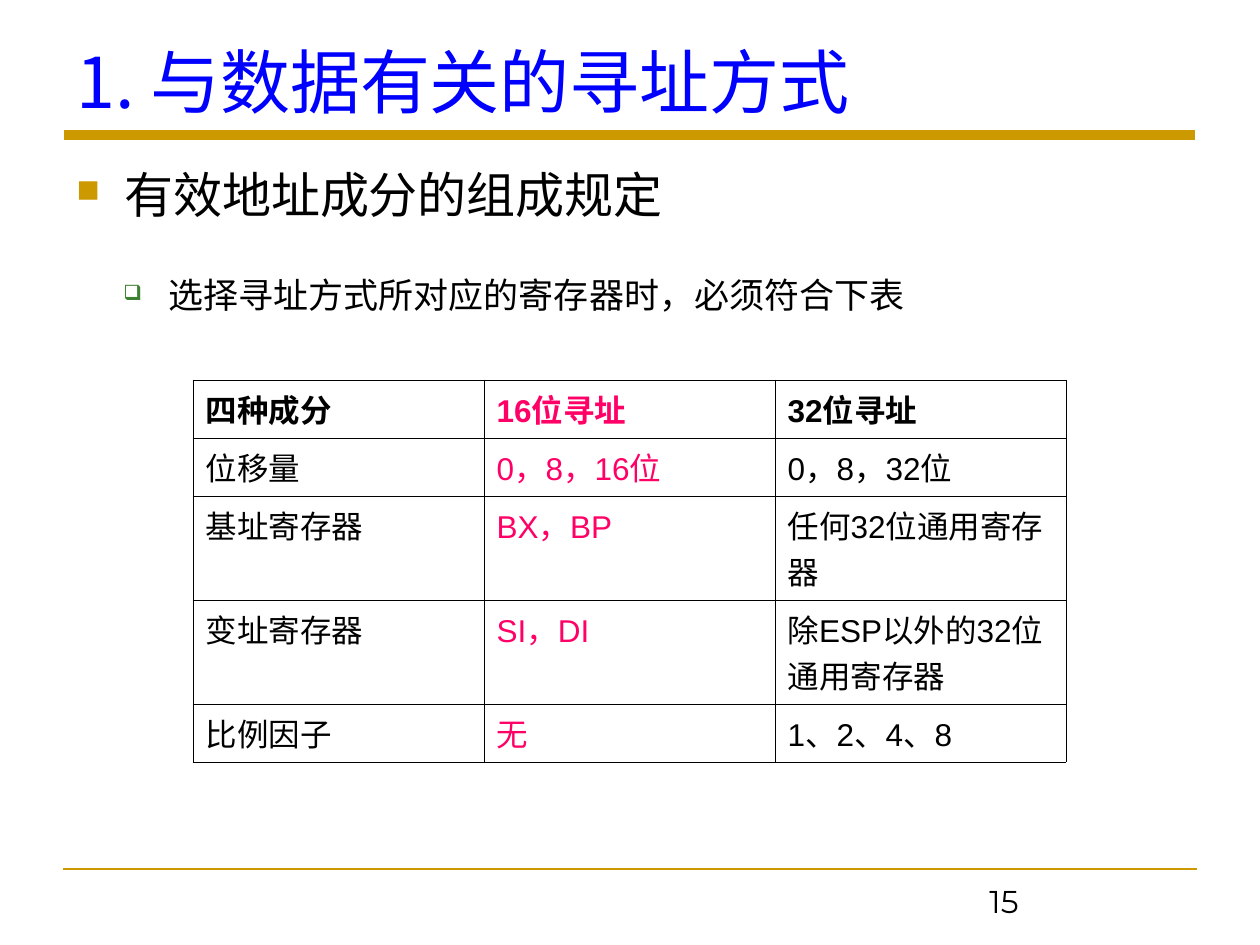
from lxml.etree import SubElement
from pptx import Presentation
from pptx.dml.color import RGBColor
from pptx.enum.shapes import MSO_CONNECTOR
from pptx.enum.text import MSO_ANCHOR
from pptx.oxml.ns import qn
from pptx.util import Emu, Pt

PIXELS_PER_INCH = 126
CHINESE_FONT = "Noto Sans CJK SC"
GOLD, BLUE, GREEN, PINK, BLACK = "CC9900", "0000FF", "3B812F", "FF0066", "000000"

ROWS = [
    ("四种成分", "16位寻址", "32位寻址"),
    ("位移量", "0，8，16位", "0，8，32位"),
    ("基址寄存器", "BX，BP", "任何32位通用寄存器"),
    ("变址寄存器", "SI，DI", "除ESP以外的32位通用寄存器"),
    ("比例因子", "无", "1、2、4、8"),
]
ROW_HEIGHTS = [58, 58, 104, 104, 58]
COLUMN_COLORS = [BLACK, PINK, BLACK]


def px(length):
    return Emu(round(length * 914400 / PIXELS_PER_INCH))


def color(hex_string):
    return RGBColor.from_string(hex_string)


def write(paragraph, text, size, hex_color, font_name=CHINESE_FONT, bold=False):
    paragraph.text = text
    font = paragraph.font
    font.size = Pt(size)
    font.bold = bold
    font.color.rgb = color(hex_color)
    font.name = font_name
    properties = paragraph._p.get_or_add_pPr().find(qn("a:defRPr"))
    SubElement(properties, qn("a:ea"), typeface=CHINESE_FONT)


def add_bullet(paragraph, character, hex_color, percent, margin, hanging):
    properties = paragraph._p.get_or_add_pPr()
    properties.set("marL", str(px(margin)))
    properties.set("indent", str(-px(hanging)))
    bullet_color = SubElement(properties, qn("a:buClr"))
    SubElement(bullet_color, qn("a:srgbClr"), val=hex_color)
    SubElement(properties, qn("a:buSzPct"), val=str(percent * 1000))
    SubElement(properties, qn("a:buChar"), char=character)


def add_text_frame(slide, left, top, width, height):
    box = slide.shapes.add_textbox(px(left), px(top), px(width), px(height))
    frame = box.text_frame
    frame.word_wrap = True
    frame.vertical_anchor = MSO_ANCHOR.TOP
    return frame


def add_rule(slide, left, top, width, weight):
    rule = slide.shapes.add_connector(
        MSO_CONNECTOR.STRAIGHT, px(left), px(top), px(left + width), px(top))
    rule.line.color.rgb = color(GOLD)
    rule.line.width = Pt(weight)
    SubElement(rule._element.spPr, qn("a:effectLst"))


def add_title(slide, left, top, width, height):
    paragraph = add_text_frame(slide, left, top, width, height).paragraphs[0]
    paragraph.line_spacing = 0.9
    write(paragraph, "1. 与数据有关的寻址方式", 40, BLUE)
    add_rule(slide, left, top + 93, 1131, 6)


def add_body(slide, left, top, width, height):
    frame = add_text_frame(slide, left, top, width, height)
    heading = frame.paragraphs[0]
    add_bullet(heading, "■", GOLD, 65, 48, 48)
    heading.line_spacing = 0.9
    write(heading, "有效地址成分的组成规定", 28, BLACK)
    detail = frame.add_paragraph()
    detail.level = 1
    add_bullet(detail, "❑", GREEN, 60, 92, 45)
    detail.line_spacing = 0.9
    detail.space_before = Pt(31)
    write(detail, "选择寻址方式所对应的寄存器时，必须符合下表", 20, BLACK)


def add_borders(cell):
    properties = cell._tc.get_or_add_tcPr()
    for position, side in enumerate(("a:lnL", "a:lnR", "a:lnT", "a:lnB")):
        line = properties.makeelement(qn(side), {"w": str(Pt(0.45))})
        properties.insert(position, line)
        fill = SubElement(line, qn("a:solidFill"))
        SubElement(fill, qn("a:srgbClr"), val=BLACK)


def add_register_table(slide, left, top, width):
    column_count = len(COLUMN_COLORS)
    table = slide.shapes.add_table(
        len(ROWS), column_count, px(left), px(top), px(width), px(sum(ROW_HEIGHTS))).table
    table.horz_banding = False
    for column in table.columns:
        column.width = px(width // column_count)
    for row_index, (texts, height) in enumerate(zip(ROWS, ROW_HEIGHTS)):
        table.rows[row_index].height = px(height)
        for column_index, (text, hex_color) in enumerate(zip(texts, COLUMN_COLORS)):
            cell = table.cell(row_index, column_index)
            cell.fill.background()
            add_borders(cell)
            write(cell.text_frame.paragraphs[0], text, 18, hex_color,
                  "Arial", bold=row_index == 0)


def add_footer(slide, left, top, width):
    add_rule(slide, left, top, width, 1.5)
    frame = add_text_frame(slide, left + 914, top + 7, 283, 50)
    write(frame.paragraphs[0], "15", 18, BLACK, "Montserrat")


def main():
    presentation = Presentation()
    presentation.slide_width = px(1260)
    presentation.slide_height = px(945)
    slide = presentation.slides.add_slide(presentation.slide_layouts[6])
    add_title(slide, 64, 42, 1134, 79)
    add_body(slide, 64, 165, 1131, 694)
    add_register_table(slide, 193, 380, 873)
    add_footer(slide, 63, 869, 1134)
    presentation.save("out.pptx")


if __name__ == "__main__":
    main()
